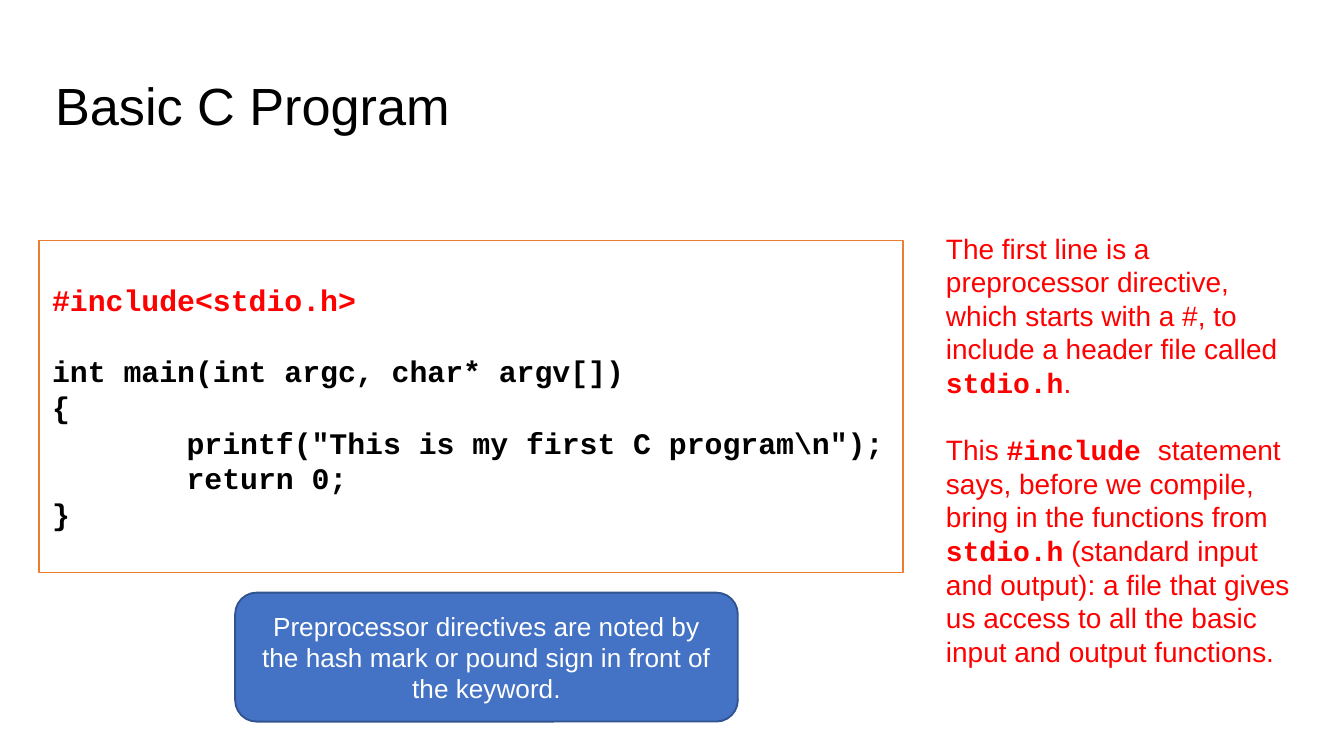
from lxml.etree import SubElement
from pptx import Presentation
from pptx.dml.color import RGBColor
from pptx.enum.shapes import MSO_SHAPE
from pptx.enum.text import MSO_ANCHOR, PP_ALIGN
from pptx.oxml.ns import qn
from pptx.util import Inches, Pt

BLACK = RGBColor(0x00, 0x00, 0x00)
WHITE = RGBColor(0xFF, 0xFF, 0xFF)
RED = RGBColor(0xFF, 0x00, 0x00)
ORANGE = RGBColor(0xED, 0x7D, 0x31)
BLUE = RGBColor(0x44, 0x72, 0xC4)
DARK_BLUE = RGBColor(0x31, 0x53, 0x8F)

# Text formats
TITLE = {"name": "Arial", "size": Pt(28), "bold": False}
CODE = {"name": "Courier New", "size": Pt(16), "bold": True}
NOTE = {"name": "Arial", "size": Pt(15), "bold": False}
NOTE_CODE = {"name": "Courier New", "size": Pt(15), "bold": True}
CALLOUT = {"name": "Arial", "size": Pt(14), "bold": False}

# Content: each paragraph is (space before in points, runs of text, format, colour)
title_paragraphs = [(0, [("Basic C Program", TITLE, BLACK)])]
code_paragraphs = [
    (0, [("#include<stdio.h>", CODE, RED)]),
    (19, [("int main(int argc, char* argv[])", CODE, BLACK)]),
    (0, [("{", CODE, BLACK)]),
    (0, [("\tprintf(\"This is my first C program\\n\");", CODE, BLACK)]),
    (0, [("\treturn 0;", CODE, BLACK)]),
    (0, [("}", CODE, BLACK)]),
]
note_paragraphs = [
    (0, [
        ("The first line is a preprocessor directive, which starts with a #, "
         "to include a header file called ", NOTE, RED),
        ("stdio.h", NOTE_CODE, RED),
        (".", NOTE, RED),
    ]),
    (18, [
        ("This ", NOTE, RED),
        ("#include ", NOTE_CODE, RED),
        ("statement says, before we compile, bring in the functions from ", NOTE, RED),
        ("stdio.h", NOTE_CODE, RED),
        (" (standard input and output): a file that gives us access to all "
         "the basic input and output functions.", NOTE, RED),
    ]),
]
callout_paragraphs = [
    (0, [("Preprocessor directives are noted by the hash mark or pound sign "
          "in front of the keyword.", CALLOUT, WHITE)]),
]


def place(shape, left, top, width, height):
    shape.left, shape.top = Inches(left), Inches(top)
    shape.width, shape.height = Inches(width), Inches(height)


def add_tab_stop(paragraph, position):
    tab_list = SubElement(paragraph._p.get_or_add_pPr(), qn("a:tabLst"))
    SubElement(tab_list, qn("a:tab"), pos=str(Inches(position)), algn="l")


def write(shape, paragraphs, anchor, margins, alignment=PP_ALIGN.LEFT, line_spacing=None):
    frame = shape.text_frame
    frame.word_wrap = True
    frame.vertical_anchor = anchor
    frame.margin_left = frame.margin_right = Inches(margins[0])
    frame.margin_top = frame.margin_bottom = Inches(margins[1])
    for index, (space_before, runs) in enumerate(paragraphs):
        paragraph = frame.add_paragraph() if index else frame.paragraphs[0]
        if runs[0][0].startswith("\t"):
            add_tab_stop(paragraph, 1)
        paragraph.alignment = alignment
        paragraph.space_before = Pt(space_before)
        paragraph.line_spacing = line_spacing
        for text, text_format, color in runs:
            run = paragraph.add_run()
            run.text = text
            for name, value in text_format.items():
                setattr(run.font, name, value)
            run.font.color.rgb = color


def add_box(slide, kind, position, fill, line):
    shape = slide.shapes.add_shape(kind, *map(Inches, position))
    shape.shadow.inherit = False
    if fill is None:
        shape.fill.background()
    else:
        shape.fill.solid()
        shape.fill.fore_color.rgb = fill
    shape.line.color.rgb = line
    shape.line.width = Pt(1)
    return shape


# Widescreen slide, 16:9
presentation = Presentation()
presentation.slide_width = Inches(10)
presentation.slide_height = Inches(10 * 9 / 16)
slide = presentation.slides.add_slide(presentation.slide_layouts[5])

# Title
title = slide.shapes.title
place(title, 0.34, 0.49, 9.32, 0.63)
write(title, title_paragraphs, MSO_ANCHOR.MIDDLE, (0.07, 0.04), line_spacing=0.9)

# Code listing
code_box = add_box(slide, MSO_SHAPE.RECTANGLE, (0.29, 1.79, 6.43, 2.47), None, ORANGE)
write(code_box, code_paragraphs, MSO_ANCHOR.MIDDLE, (0.1, 0.05))

# Explanation beside the code
note = slide.shapes.add_textbox(*map(Inches, (6.94, 1.62, 2.81, 3.3)))
write(note, note_paragraphs, MSO_ANCHOR.TOP, (0.1, 0.1))

# Callout below the code
callout = add_box(slide, MSO_SHAPE.ROUNDED_RECTANGLE, (1.75, 4.41, 3.74, 0.96), BLUE, DARK_BLUE)
write(callout, callout_paragraphs, MSO_ANCHOR.MIDDLE, (0.1, 0.05), PP_ALIGN.CENTER)

presentation.save("out.pptx")
